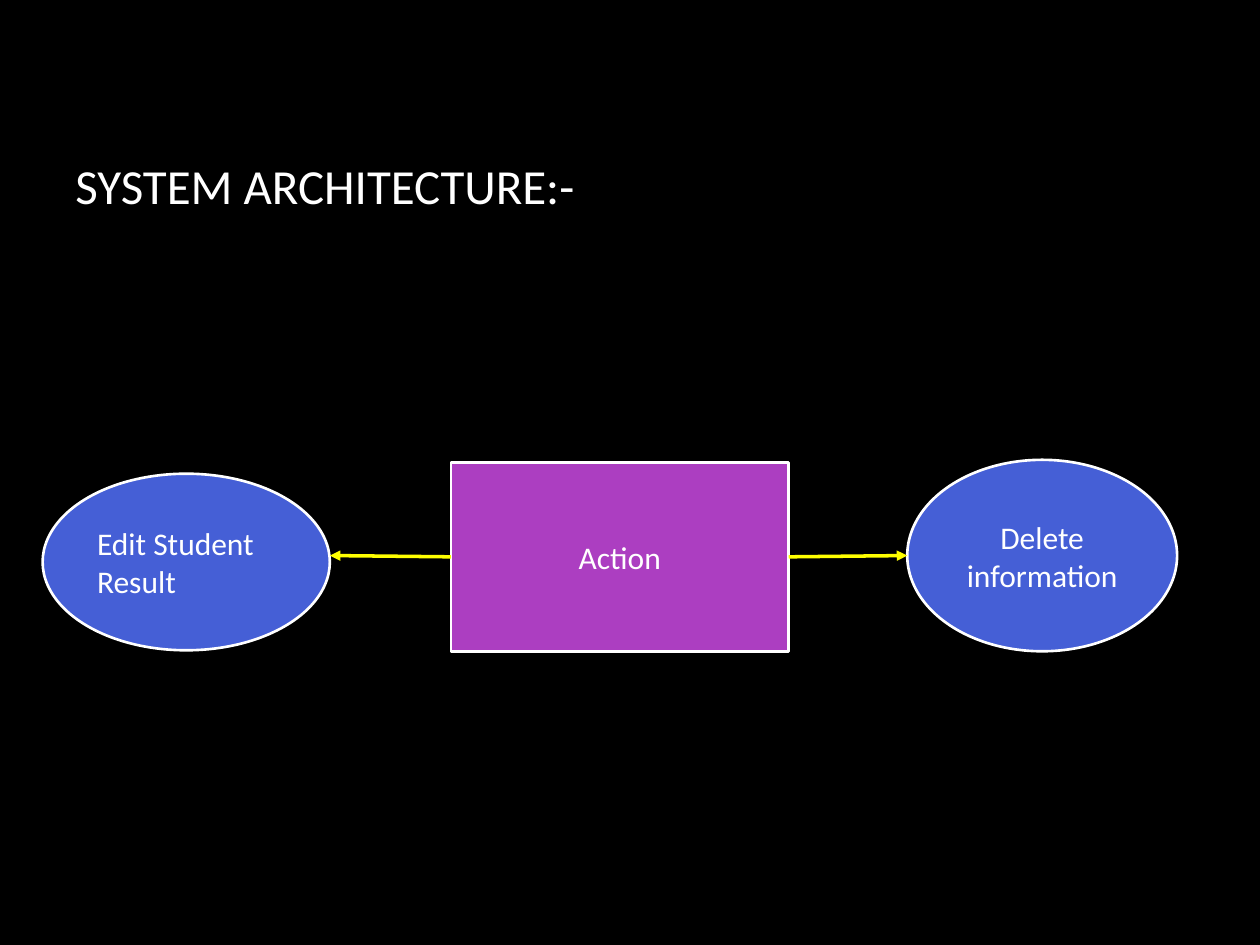
import dataclasses
import typing

import lxml.etree
import pptx
import pptx.dml.color
import pptx.enum.shapes
import pptx.enum.text
import pptx.oxml.ns
import pptx.shapes.autoshape
import pptx.slide
import pptx.text.text
import pptx.util

Cm = pptx.util.Cm
Pt = pptx.util.Pt
Rgb = pptx.dml.color.RGBColor
Align = pptx.enum.text.PP_ALIGN
Geometry = pptx.enum.shapes.MSO_SHAPE
RECTANGLE_LEFT, RECTANGLE_RIGHT = 1, 3


@dataclasses.dataclass(frozen=True)
class Theme:
    background: Rgb = Rgb(0x00, 0x00, 0x00)
    ink: Rgb = Rgb(0xFF, 0xFF, 0xFF)
    action: Rgb = Rgb(0xAC, 0x3E, 0xC1)
    outcome: Rgb = Rgb(0x45, 0x5F, 0xD6)
    arrow: Rgb = Rgb(0xFF, 0xFF, 0x00)
    font: str = "Calibri"
    heading_size: pptx.util.Length = Pt(28)
    label_size: pptx.util.Length = Pt(18)
    outline_width: pptx.util.Length = Pt(1.5)
    arrow_width: pptx.util.Length = Pt(2)


class Box(typing.NamedTuple):
    left: float
    top: float
    width: float
    height: float

    def lengths(self) -> list[pptx.util.Length]:
        return [Cm(value) for value in self]


class Node(typing.NamedTuple):
    label: str
    geometry: Geometry
    box: Box
    fill: Rgb
    align: Align = Align.CENTER


THEME = Theme()
HEADING_BOX = Box(1.27, 1.7, 21.59, 4.04)
ACTION = Node("Action", Geometry.RECTANGLE, Box(9.09, 9.32, 6.81, 3.81), THEME.action)
DELETE = Node("Delete information", Geometry.OVAL, Box(18.29, 9.27, 5.44, 3.86), THEME.outcome)
EDIT = Node("Edit Student Result", Geometry.OVAL, Box(0.86, 9.55, 5.79, 3.56), THEME.outcome, Align.LEFT)
ARROW_END_Y = 11.2


def apply_format(target: object, values: dict[str, object]) -> None:
    for name, value in values.items():
        setattr(target, name, value)


def write_text(
    frame: pptx.text.text.TextFrame, text: str, size: pptx.util.Length, align: Align
) -> None:
    apply_format(frame, {
        "text": text,
        "word_wrap": True,
        "vertical_anchor": pptx.enum.text.MSO_ANCHOR.MIDDLE,
    })
    paragraph = frame.paragraphs[0]
    paragraph.alignment = align
    font = paragraph.runs[0].font
    apply_format(font, {"name": THEME.font, "size": size})
    font.color.rgb = THEME.ink


def draw_node(slide: pptx.slide.Slide, node: Node) -> pptx.shapes.autoshape.Shape:
    shape = slide.shapes.add_shape(node.geometry, *node.box.lengths())
    shape.shadow.inherit = False
    shape.fill.solid()
    shape.fill.fore_color.rgb = node.fill
    shape.line.color.rgb = THEME.ink
    shape.line.width = THEME.outline_width
    write_text(shape.text_frame, node.label, THEME.label_size, node.align)
    return shape


def draw_arrow(
    slide: pptx.slide.Slide, source: pptx.shapes.autoshape.Shape, side: int, end_x: float
) -> None:
    end = Cm(end_x), Cm(ARROW_END_Y)
    arrow = slide.shapes.add_connector(pptx.enum.shapes.MSO_CONNECTOR.STRAIGHT, *end, *end)
    arrow.begin_connect(source, side)
    arrow.line.color.rgb = THEME.arrow
    arrow.line.width = THEME.arrow_width
    qn = pptx.oxml.ns.qn
    properties = arrow.line._get_or_add_ln()
    lxml.etree.SubElement(properties, qn("a:tailEnd"), type="triangle")
    lxml.etree.SubElement(properties.getparent(), qn("a:effectLst"))


def main() -> None:
    presentation = pptx.Presentation()
    apply_format(presentation, {"slide_width": Cm(25.4), "slide_height": Cm(19.05)})
    slide = presentation.slides.add_slide(presentation.slide_layouts[6])
    slide.background.fill.solid()
    slide.background.fill.fore_color.rgb = THEME.background

    heading = slide.shapes.add_textbox(*HEADING_BOX.lengths())
    write_text(heading.text_frame, "SYSTEM ARCHITECTURE:-", THEME.heading_size, Align.LEFT)

    action, _, _ = [draw_node(slide, node) for node in (ACTION, DELETE, EDIT)]
    draw_arrow(slide, action, RECTANGLE_LEFT, EDIT.box.left + EDIT.box.width)
    draw_arrow(slide, action, RECTANGLE_RIGHT, DELETE.box.left)

    presentation.save("out.pptx")


if __name__ == "__main__":
    main()
